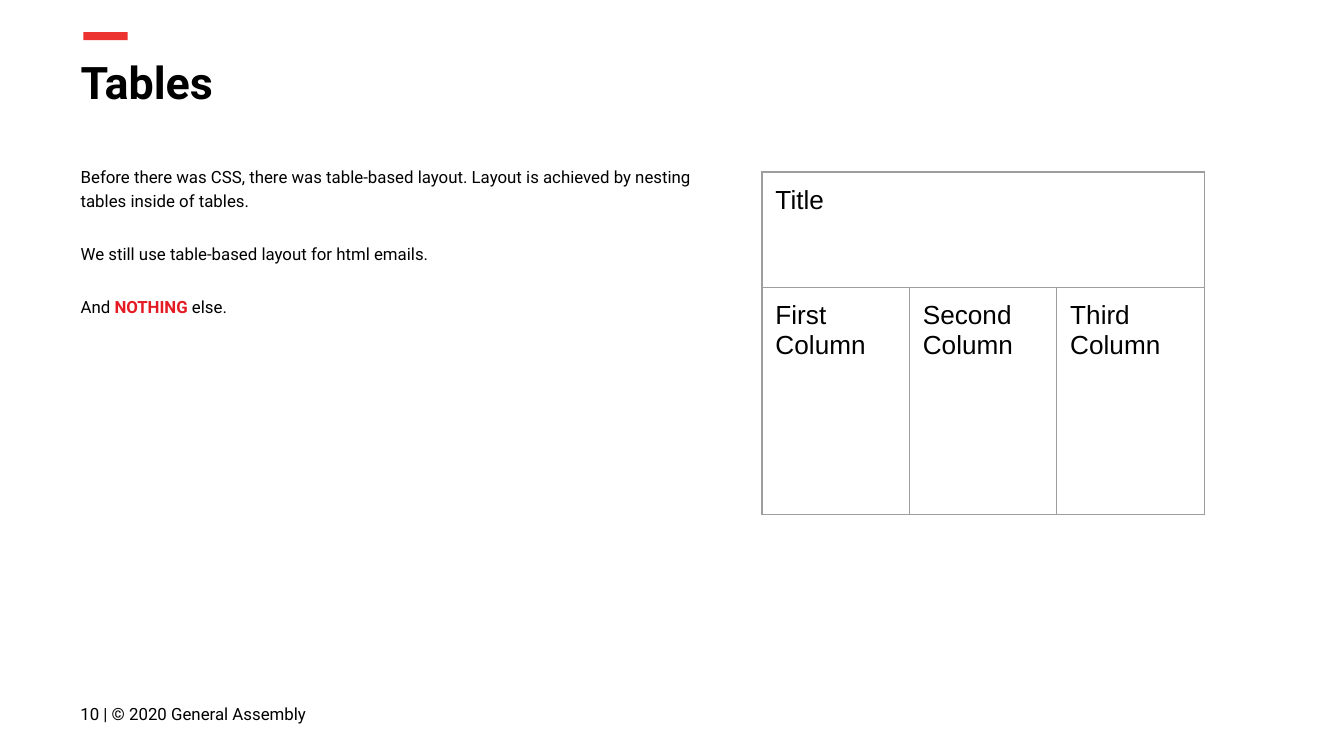
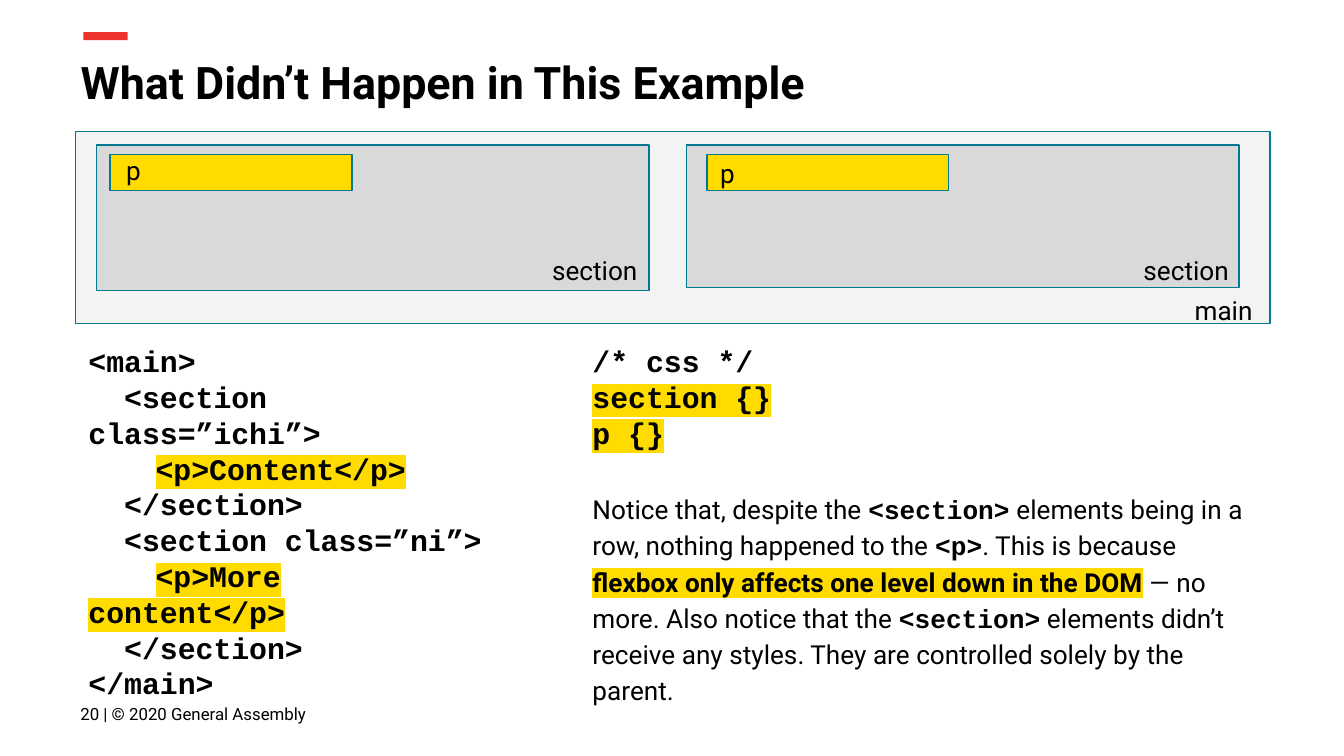
from dataclasses import dataclass
from typing import NamedTuple, Optional, Sequence

from lxml.etree import SubElement
from pptx import Presentation
from pptx.dml.color import RGBColor
from pptx.enum.shapes import MSO_SHAPE
from pptx.enum.text import MSO_ANCHOR, MSO_AUTO_SIZE
from pptx.oxml.ns import qn
from pptx.shapes.shapetree import GroupShapes, SlideShapes
from pptx.slide import Slide
from pptx.table import _Cell
from pptx.text.text import TextFrame, _Paragraph
from pptx.util import Inches, Pt


@dataclass(frozen=True)
class Theme:
    sans: str = "Roboto"
    code: str = "Courier New"
    table: str = "Arial"
    ink: str = "000000"
    accent: str = "ED332F"
    warning: str = "E51B24"
    yellow: str = "FFDB00"
    main_fill: str = "F3F3F3"
    section_fill: str = "D9D9D9"
    outline: str = "017991"
    grid: str = "9E9E9E"
    title_size: float = 24
    code_size: float = 16
    text_size: float = 14
    small_size: float = 9
    line_width: float = 0.75
    loose: float = 1.15


THEME = Theme()
INSET = Inches(0.1)
TITLE_AND_BODY, TITLE_ONLY = 1, 5


class Box(NamedTuple):
    left: float
    top: float
    width: float
    height: float

    def lengths(self) -> list[Inches]:
        return [Inches(value) for value in self]


class Span(NamedTuple):
    text: str
    font: Optional[str] = None
    bold: Optional[bool] = None
    color: Optional[str] = None
    highlight: Optional[str] = None


class Panel(NamedTuple):
    box: Box
    fill: str


class Label(NamedTuple):
    text: str
    box: Box
    line_spacing: Optional[float] = None


Line = Sequence[Span]


def add_run(paragraph: _Paragraph, text: str, *, size: float, font: str,
            bold: bool, color: str, highlight: Optional[str] = None) -> None:
    run = paragraph.add_run()
    run.text = text
    run.font.size = Pt(size)
    run.font.bold = bold
    run.font.color.rgb = RGBColor.from_string(color)
    run.font.name = font
    if highlight:
        properties = run.font._element
        marker = SubElement(properties, qn("a:highlight"))
        SubElement(marker, qn("a:srgbClr"), val=highlight)
        properties.find(qn("a:solidFill")).addnext(marker)


def write(frame: TextFrame, lines: Sequence[Line], *, size: float,
          font: str = THEME.sans, bold: bool = False,
          line_spacing: Optional[float] = None, gap: float = 0,
          tab_stop: Optional[float] = None,
          anchor: MSO_ANCHOR = MSO_ANCHOR.TOP) -> None:
    frame.word_wrap = True
    frame.auto_size = MSO_AUTO_SIZE.NONE
    frame.vertical_anchor = anchor
    frame.margin_left = frame.margin_right = INSET
    frame.margin_top = frame.margin_bottom = INSET
    for index, line in enumerate(lines):
        paragraph = frame.add_paragraph() if index else frame.paragraphs[0]
        properties = paragraph._p.get_or_add_pPr()
        properties.set("marL", "0")
        properties.set("indent", "0")
        properties.set("algn", "l")
        SubElement(properties, qn("a:buNone"))
        if tab_stop:
            stops = SubElement(properties, qn("a:tabLst"))
            SubElement(stops, qn("a:tab"), pos=str(Inches(tab_stop)), algn="l")
        paragraph.space_before = Pt(gap if index else 0)
        if line_spacing:
            paragraph.line_spacing = line_spacing
        for span in line:
            add_run(paragraph, span.text, size=size, font=span.font or font,
                    bold=bold if span.bold is None else span.bold,
                    color=span.color or THEME.ink, highlight=span.highlight)


def add_text(shapes: SlideShapes | GroupShapes, box: Box,
             lines: Sequence[Line], **style) -> None:
    write(shapes.add_textbox(*box.lengths()).text_frame, lines, **style)


def add_panel(shapes: SlideShapes | GroupShapes, panel: Panel,
              outline: Optional[str] = None) -> None:
    shape = shapes.add_shape(MSO_SHAPE.RECTANGLE, *panel.box.lengths())
    shape.shadow.inherit = False
    shape.fill.solid()
    shape.fill.fore_color.rgb = RGBColor.from_string(panel.fill)
    if outline:
        shape.line.color.rgb = RGBColor.from_string(outline)
        shape.line.width = Pt(THEME.line_width)
    else:
        shape.line.fill.background()


def fill_placeholder(slide: Slide, index: int, box: Box,
                     lines: Sequence[Line], **style) -> None:
    holder = slide.placeholders[index]
    holder.left, holder.top, holder.width, holder.height = box.lengths()
    write(holder.text_frame, lines, **style)


def start_slide(deck: Presentation, layout: int, title: str,
                number: int) -> Slide:
    slide = deck.slides.add_slide(deck.slide_layouts[layout])
    add_panel(slide.shapes, Panel(Box(0.62, 0.24, 0.33, 0.06), THEME.accent))
    fill_placeholder(slide, 0, Box(0.5, 0.31, 9.32, 0.63), [[Span(title)]],
                     size=THEME.title_size, bold=True)
    add_text(slide.shapes, Box(0.5, 5.1, 2.59, 0.43),
             [[Span(f"{number} | © 2020 General Assembly")]],
             size=THEME.small_size, anchor=MSO_ANCHOR.MIDDLE)
    return slide


def style_cell(cell: _Cell) -> None:
    cell.margin_left = cell.margin_right = INSET
    cell.margin_top = cell.margin_bottom = INSET
    cell.fill.background()
    properties = cell._tc.get_or_add_tcPr()
    for position, side in enumerate(("lnL", "lnR", "lnT", "lnB")):
        border = SubElement(properties, qn(f"a:{side}"),
                            w=str(Pt(THEME.line_width)))
        paint = SubElement(border, qn("a:solidFill"))
        SubElement(paint, qn("a:srgbClr"), val=THEME.grid)
        properties.insert(position, border)


def add_layout_table(slide: Slide) -> None:
    row_heights = (0.86, 1.69)
    rows = (("Title",), ("First Column", "Second Column", "Third Column"))
    box = Box(5.67, 1.28, 3.29, sum(row_heights))
    table = slide.shapes.add_table(2, 3, *box.lengths()).table
    table.first_row = table.horz_banding = False
    for column in table.columns:
        column.width = Inches(box.width / 3)
    for row, height in zip(table.rows, row_heights):
        row.height = Inches(height)
    for cell in table.iter_cells():
        style_cell(cell)
    table.cell(0, 0).merge(table.cell(0, 2))
    for row_index, texts in enumerate(rows):
        for column_index, text in enumerate(texts):
            paragraph = table.cell(row_index, column_index).text_frame.paragraphs[0]
            add_run(paragraph, text, size=THEME.text_size, font=THEME.table,
                    bold=False, color=THEME.ink)


def build_tables_slide(deck: Presentation) -> None:
    slide = start_slide(deck, TITLE_AND_BODY, "Tables", 10)
    history = [
        [Span("Before there was CSS, there was table-based layout. "
              "Layout is achieved by nesting tables inside of tables.")],
        [Span("We still use table-based layout for html emails.")],
        [Span("And "), Span("NOTHING ", bold=True, color=THEME.warning),
         Span("else.")],
    ]
    fill_placeholder(slide, 1, Box(0.5, 1.12, 5.07, 3.89), history,
                     size=THEME.small_size, line_spacing=THEME.loose, gap=16)
    add_layout_table(slide)


def add_nesting_diagram(slide: Slide) -> None:
    panels = (
        Panel(Box(0.56, 0.98, 8.89, 1.43), THEME.main_fill),
        Panel(Box(5.11, 1.08, 4.11, 1.06), THEME.section_fill),
        Panel(Box(0.72, 1.08, 4.11, 1.08), THEME.section_fill),
        Panel(Box(5.26, 1.15, 1.8, 0.27), THEME.yellow),
        Panel(Box(0.82, 1.15, 1.8, 0.27), THEME.yellow),
    )
    labels = (
        Label("main", Box(8.79, 2.09, 0.66, 0.23)),
        Label("section", Box(4.01, 1.79, 0.87, 0.23)),
        Label("section", Box(8.41, 1.79, 0.87, 0.23)),
        Label("p", Box(5.26, 1.17, 0.24, 0.23), 0.5),
        Label("p", Box(0.84, 1.15, 0.3, 0.23), 0.5),
    )
    diagram = slide.shapes.add_group_shape().shapes
    for panel in panels:
        add_panel(diagram, panel, THEME.outline)
    for label in labels:
        add_text(diagram, label.box, [[Span(label.text)]],
                 size=THEME.text_size, line_spacing=label.line_spacing)


def marked(text: str, bold: Optional[bool] = None) -> Span:
    return Span(text, bold=bold, highlight=THEME.yellow)


def tag(text: str) -> Span:
    return Span(text, font=THEME.code, bold=True)


def build_example_slide(deck: Presentation) -> None:
    slide = start_slide(deck, TITLE_ONLY,
                        "What Didn’t Happen in This Example", 20)
    css = [[Span("/* css */")], [marked("section {}")], [marked("p {}")]]
    notice = [[
        Span("Notice that, despite the "), tag("<section>"),
        Span(" elements being in a row, nothing happened to the "),
        tag("<p>"), Span(". This is because "),
        marked("flexbox only affects one level down in the DOM", bold=True),
        Span(" — no more. Also notice that the "), tag("<section>"),
        Span(" elements didn’t receive any styles. "
             "They are controlled solely by the parent."),
    ]]
    html = [
        [Span("<main>")],
        [Span("  <section class=”ichi”>")],
        [Span("\t"), marked("<p>Content</p>")],
        [Span("  </section>")],
        [Span("  <section class=”ni”>")],
        [Span("\t"), marked("<p>More content</p>")],
        [Span("  </section>")],
        [Span("</main>")],
    ]
    code_style = dict(size=THEME.code_size, font=THEME.code, bold=True)
    add_text(slide.shapes, Box(4.31, 2.45, 3.15, 1.29), css, **code_style)
    add_text(slide.shapes, Box(4.31, 3.54, 5.19, 1.36), notice,
             size=THEME.text_size, line_spacing=THEME.loose)
    add_text(slide.shapes, Box(0.56, 2.45, 3.15, 2.65), html,
             tab_stop=1, **code_style)
    add_nesting_diagram(slide)


def main() -> None:
    deck = Presentation()
    deck.slide_width = Inches(10)
    deck.slide_height = deck.slide_width * 9 // 16
    build_tables_slide(deck)
    build_example_slide(deck)
    deck.save("out.pptx")


if __name__ == "__main__":
    main()
